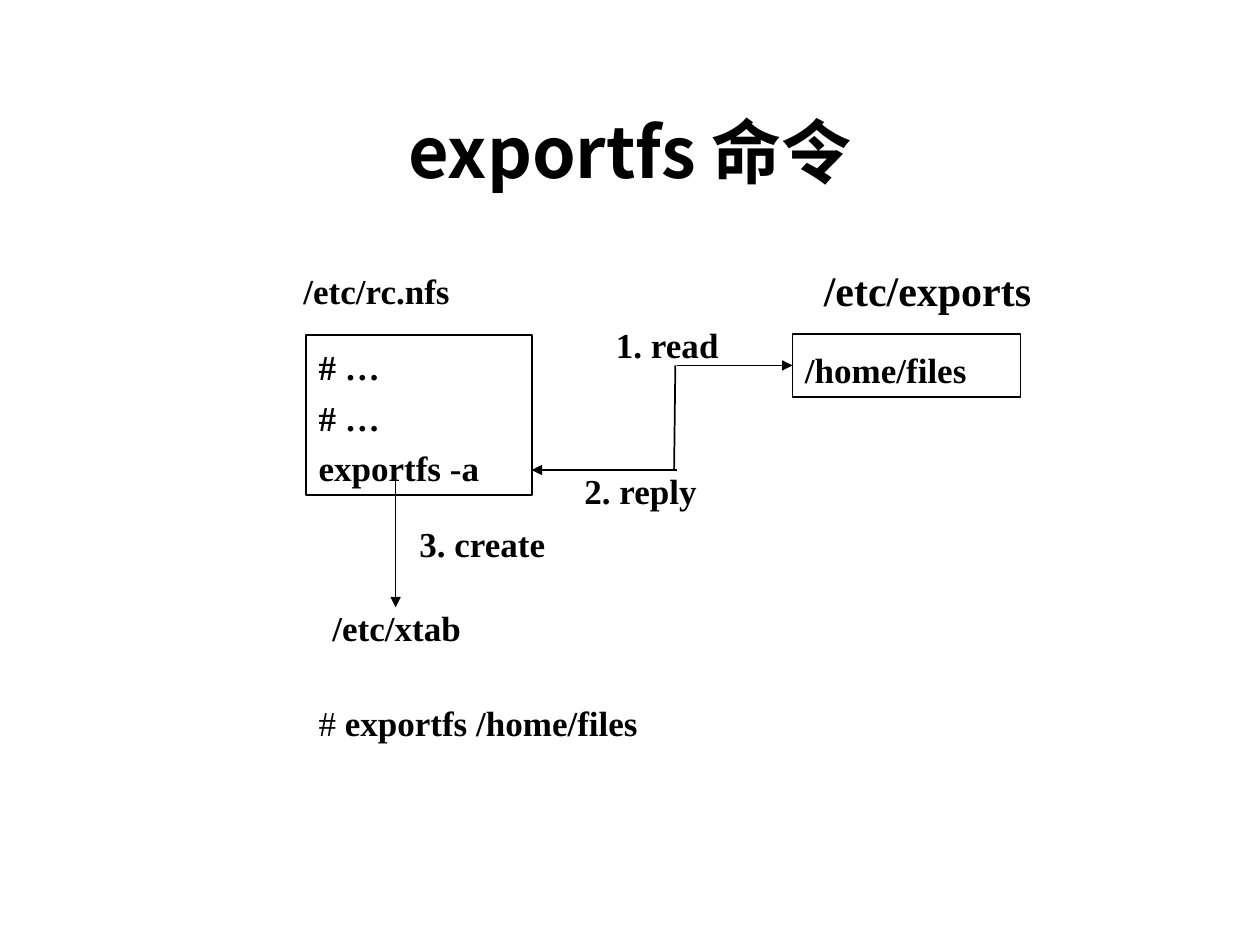
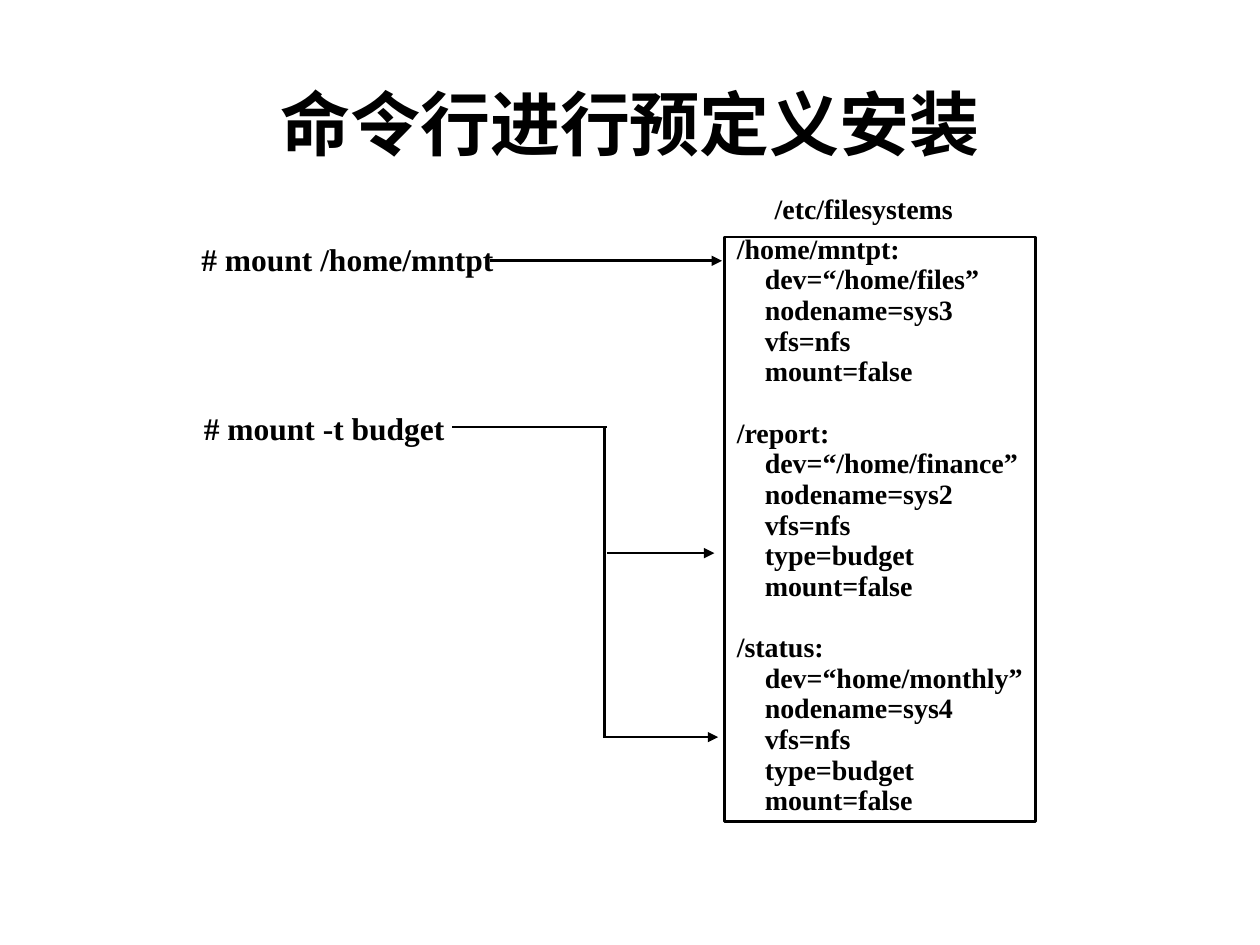
from dataclasses import dataclass

from pptx import Presentation
from pptx.dml.color import RGBColor
from pptx.enum.shapes import MSO_CONNECTOR, MSO_SHAPE
from pptx.enum.text import MSO_ANCHOR, MSO_AUTO_SIZE, PP_ALIGN
from pptx.oxml.ns import qn
from pptx.util import Inches, Pt
from lxml.etree import SubElement


@dataclass(frozen=True)
class Theme:
    """Colours, fonts and type sizes shared by the slides."""
    ink: RGBColor = RGBColor(0, 0, 0)
    paper: RGBColor = RGBColor(255, 255, 255)
    serif: str = "Times New Roman"
    sans: str = "Noto Sans CJK SC"
    title: int = 40
    heading: int = 24
    label: int = 20
    command: int = 18
    code: int = 16


THEME = Theme()
TITLE_ONLY = 5

STANZAS = [
    ["/home/mntpt:", "    dev=“/home/files”", "    nodename=sys3",
     "    vfs=nfs", "    mount=false"],
    ["/report:", "    dev=“/home/finance”", "    nodename=sys2",
     "    vfs=nfs", "    type=budget", "    mount=false"],
    ["/status:", "    dev=“home/monthly”", "    nodename=sys4",
     "    vfs=nfs", "    type=budget", "    mount=false"],
]


def add_run(paragraph, text, size, bold=True, font=THEME.serif):
    """Append one styled run to a paragraph."""
    run = paragraph.add_run()
    run.text = text
    run.font.name = font
    run.font.size = Pt(size)
    run.font.bold = bold
    run.font.color.rgb = THEME.ink
    return run


def add_title_slide(presentation, title, top, height, font):
    """Add a slide with a centred bold title."""
    slide = presentation.slides.add_slide(presentation.slide_layouts[TITLE_ONLY])
    slide.background.fill.solid()
    slide.background.fill.fore_color.rgb = THEME.paper
    shape = slide.shapes.title
    shape.left, shape.top = Inches(0.75), Inches(top)
    shape.width, shape.height = Inches(8.5), Inches(height)
    frame = shape.text_frame
    frame.auto_size = MSO_AUTO_SIZE.NONE
    frame.vertical_anchor = MSO_ANCHOR.MIDDLE
    paragraph = frame.paragraphs[0]
    paragraph.alignment = PP_ALIGN.CENTER
    run = add_run(paragraph, title, THEME.title, font=font)
    SubElement(run.font._element, qn("a:ea"), typeface=THEME.sans)
    return slide


def add_label(slide, left, top, width, height, runs, size=THEME.label, spacing=1.2):
    """Add a one-line label made of (text, bold) runs."""
    box = slide.shapes.add_textbox(
        Inches(left), Inches(top), Inches(width), Inches(height))
    box.text_frame.word_wrap = False
    paragraph = box.text_frame.paragraphs[0]
    paragraph.line_spacing = spacing
    for text, bold in runs:
        add_run(paragraph, text, size, bold)


def add_file_box(slide, left, top, width, height, stanzas, size, weight,
                 spacing, line_gap=0, stanza_gap=0):
    """Add an outlined box that lists the stanzas of a file."""
    box = slide.shapes.add_shape(
        MSO_SHAPE.RECTANGLE, Inches(left), Inches(top), Inches(width), Inches(height))
    box.shadow.inherit = False
    box.fill.background()
    box.line.color.rgb = THEME.ink
    box.line.width = Pt(weight)
    frame = box.text_frame
    frame.word_wrap = False
    frame.vertical_anchor = MSO_ANCHOR.TOP
    for stanza_index, stanza in enumerate(stanzas):
        for line_index, line in enumerate(stanza):
            first = stanza_index == line_index == 0
            paragraph = frame.paragraphs[0] if first else frame.add_paragraph()
            paragraph.alignment = PP_ALIGN.LEFT
            paragraph.line_spacing = spacing
            if not first:
                paragraph.space_before = Pt(line_gap if line_index else stanza_gap)
            add_run(paragraph, line, size)


def add_line(slide, start, end, weight, arrow=True):
    """Draw a straight line, with an arrowhead at its end if asked."""
    connector = slide.shapes.add_connector(
        MSO_CONNECTOR.STRAIGHT, *map(Inches, (*start, *end)))
    connector.line.color.rgb = THEME.ink
    connector.line.width = Pt(weight)
    properties = connector._element.spPr
    if arrow:
        SubElement(properties.find(qn("a:ln")), qn("a:tailEnd"), type="triangle")
    SubElement(properties, qn("a:effectLst"))


def build_exportfs(presentation):
    """Show how exportfs reads the exports file and creates xtab."""
    slide = add_title_slide(presentation, "exportfs 命令", 0.67, 1.05, THEME.sans)
    add_label(slide, 2.43, 5.45, 3.57, 0.5,
              [("# ", False), ("exportfs /home/files", True)])
    add_file_box(slide, 2.43, 2.66, 1.79, 1.27, [["# …", "# …", "exportfs -a"]],
                 THEME.label, 1, 1.1, line_gap=2.5)
    add_file_box(slide, 6.29, 2.65, 1.81, 0.5, [["/home/files"]],
                 THEME.label, 1, 1.2)
    for left, top, width, text in [
        (2.54, 4.7, 1.25, "/etc/xtab"),
        (4.79, 2.45, 1.05, "1. read"),
        (4.54, 3.61, 1.15, "2. reply"),
        (3.23, 4.03, 1.25, "3. create"),
    ]:
        add_label(slide, left, top, width, 0.5, [(text, True)])
    add_label(slide, 2.31, 2.09, 1.4, 0.44, [("/etc/rc.nfs", True)], spacing=1.0)
    add_label(slide, 6.44, 1.97, 1.9, 0.58, [("/etc/exports", True)], THEME.heading)
    add_line(slide, (3.14, 3.82), (3.14, 4.82), 1)
    add_line(slide, (5.37, 2.9), (6.29, 2.9), 1)
    add_line(slide, (5.37, 3.73), (4.22, 3.73), 1)
    add_line(slide, (5.36, 2.9), (5.35, 3.73), 1, arrow=False)


def build_mounts(presentation):
    """Show which stanzas each mount command selects."""
    slide = add_title_slide(
        presentation, "命令行进行预定义安装", 0.5, 0.95, THEME.serif)
    add_label(slide, 6.05, 1.42, 1.8, 0.42, [("/etc/filesystems", True)], THEME.code)
    add_file_box(slide, 5.75, 1.88, 2.47, 4.64, STANZAS, THEME.code, 1.5, 0.6,
                 line_gap=6, stanza_gap=23.5)
    add_label(slide, 1.5, 1.8, 2.6, 0.46,
              [("# mount /home/mntpt", True)], THEME.command)
    add_label(slide, 1.52, 3.14, 2.2, 0.46,
              [("# mount -t budget", True)], THEME.command)
    add_line(slide, (3.89, 2.07), (5.73, 2.07), 1.5)
    add_line(slide, (3.59, 3.39), (4.82, 3.39), 1.5, arrow=False)
    add_line(slide, (4.8, 3.39), (4.8, 5.86), 1.5, arrow=False)
    add_line(slide, (4.82, 4.39), (5.67, 4.39), 1.5)
    add_line(slide, (4.8, 5.85), (5.7, 5.85), 1.5)


def main():
    """Build and save the presentation."""
    presentation = Presentation()
    presentation.slide_width = Inches(10)
    presentation.slide_height = Inches(7.5)
    build_exportfs(presentation)
    build_mounts(presentation)
    presentation.save("out.pptx")


if __name__ == "__main__":
    main()
